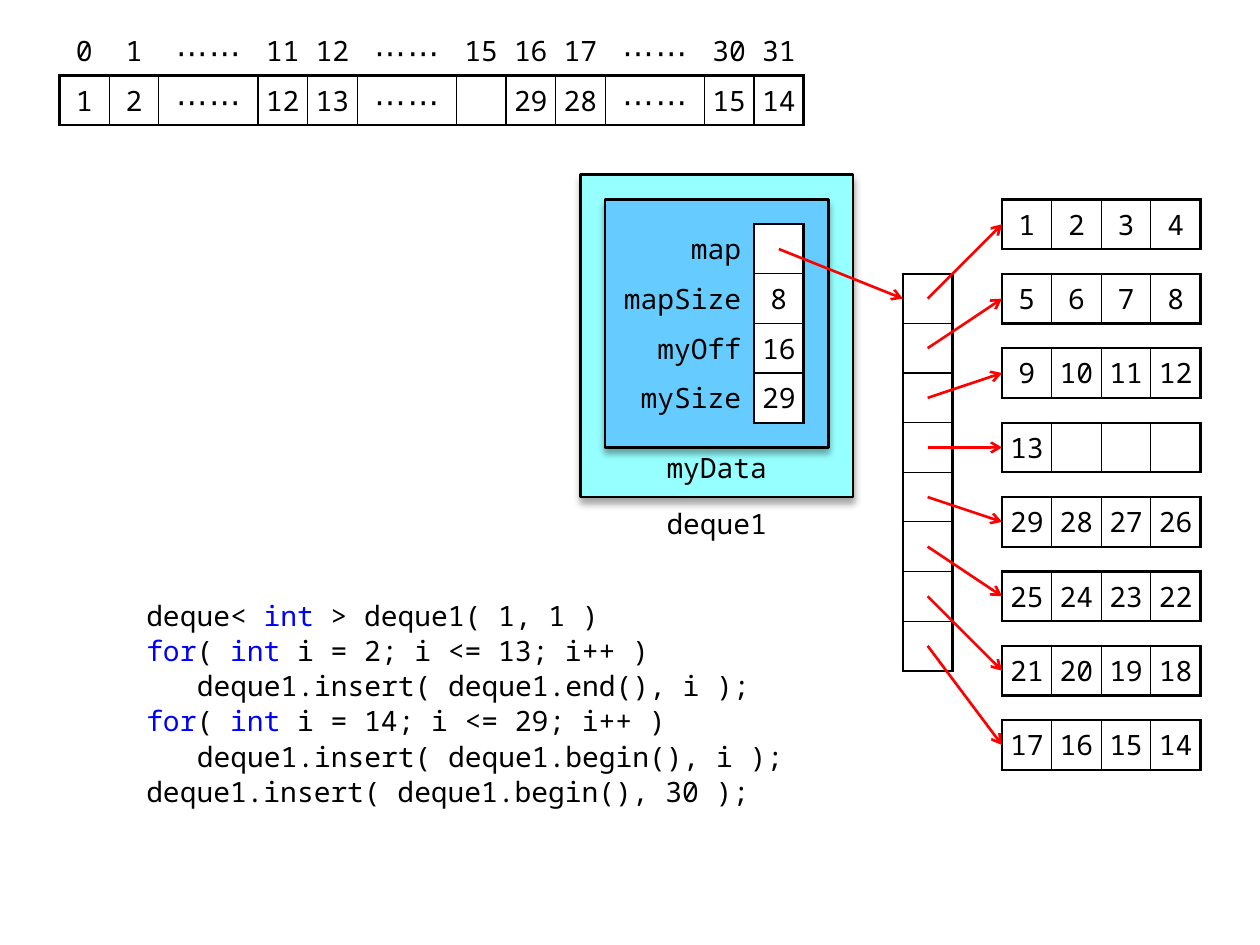
from dataclasses import dataclass

import pptx
import pptx.dml.color
import pptx.enum.shapes
import pptx.enum.text
import pptx.oxml
import pptx.oxml.ns
import pptx.util

EMU_PER_PX = 7200  # 50 px make one centimetre
CELL = 50
HALF = CELL // 2
NO_TABLE_STYLE = "{2D5ABB26-0587-4C30-8999-92F81FD0307C}"
ALIGN = pptx.enum.text.PP_ALIGN
ANCHOR = pptx.enum.text.MSO_ANCHOR
SHAPE = pptx.enum.shapes.MSO_SHAPE
ELLIPSIS = "⋯⋯"


@dataclass(frozen=True)
class Theme:
    font: str = "Noto Sans Mono"
    text_size: float = 16
    ellipsis_size: float = 18
    thick: float = 1.5
    thin: float = 0.75
    ink: str = "000000"
    keyword: str = "0000FF"
    arrow: str = "FF0000"
    cell: str = "FFFFFF"
    deque: str = "96FFFF"
    data: str = "66CCFF"


@dataclass(frozen=True)
class Grid:
    """A table whose cells from (first_row, first_column) on are framed."""
    left: int
    top: int
    widths: tuple[int, ...]
    rows: tuple[tuple[str, ...], ...]
    first_row: int = 0
    first_column: int = 0


@dataclass(frozen=True)
class Panel:
    left: int
    top: int
    width: int
    height: int
    color: str


@dataclass(frozen=True)
class Label:
    left: int
    top: int
    width: int
    text: str
    anchor: ANCHOR


@dataclass(frozen=True)
class Arrow:
    start: tuple[int, int]
    end: tuple[int, int]


@dataclass(frozen=True)
class CodeLine:
    """Source text in which every second piece is a keyword."""
    pieces: tuple[str, ...]
    indent: int = 0


THEME = Theme()
BLOCK_LEFT, BLOCK_TOP, BLOCK_PITCH = 1010, 201, 75
MAP_LEFT, MAP_TOP = 910, 276
FIELDS_LEFT, FIELDS_TOP, FIELD_NAME_WIDTH = 610, 226, 150

INDEX_ROW = ("0", "1", ELLIPSIS, "11", "12", ELLIPSIS, "15", "16", "17", ELLIPSIS, "30", "31")
VALUE_ROW = ("1", "2", ELLIPSIS, "12", "13", ELLIPSIS, "", "29", "28", ELLIPSIS, "15", "14")
BLOCKS = (
    ("1", "2", "3", "4"), ("5", "6", "7", "8"), ("9", "10", "11", "12"), ("13", "", "", ""),
    ("29", "28", "27", "26"), ("25", "24", "23", "22"), ("21", "20", "19", "18"),
    ("17", "16", "15", "14"),
)
FIELDS = (("map", ""), ("mapSize", "8"), ("myOff", "16"), ("mySize", "29"))

PANELS = (
    Panel(585, 176, 275, 325, THEME.deque),
    Panel(610, 201, 225, 250, THEME.data),
)
LABELS = (
    Label(635, 501, 175, "deque1", ANCHOR.MIDDLE),
    Label(660, 451, 125, "myData", ANCHOR.TOP),
)
GRIDS = (
    Grid(60, 26, tuple(2 * CELL if text == ELLIPSIS else CELL for text in INDEX_ROW),
         (INDEX_ROW, VALUE_ROW), first_row=1),
    Grid(MAP_LEFT, MAP_TOP, (CELL,), (("",),) * len(BLOCKS)),
    Grid(FIELDS_LEFT, FIELDS_TOP, (FIELD_NAME_WIDTH, CELL), FIELDS, first_column=1),
    *(Grid(BLOCK_LEFT, BLOCK_TOP + i * BLOCK_PITCH, (CELL,) * len(block), (block,))
      for i, block in enumerate(BLOCKS)),
)
ARROWS = (
    Arrow((FIELDS_LEFT + FIELD_NAME_WIDTH + HALF, FIELDS_TOP + HALF), (MAP_LEFT, MAP_TOP + HALF)),
    *(Arrow((MAP_LEFT + HALF, MAP_TOP + i * CELL + HALF),
            (BLOCK_LEFT, BLOCK_TOP + i * BLOCK_PITCH + HALF)) for i in range(len(BLOCKS))),
)
CODE = (
    CodeLine(("deque< ", "int", " > deque1( 1, 1 )")),
    CodeLine(("", "for", "( ", "int", " i = 2; i <= 13; i++ )")),
    CodeLine(("deque1.insert( deque1.end(), i );",), indent=51),
    CodeLine(("", "for", "( ", "int", " i = 14; i <= 29; i++ )")),
    CodeLine(("deque1.insert( deque1.begin(), i );",), indent=51),
    CodeLine(("deque1.insert( deque1.begin(), 30 );",)),
)


def px(*lengths: int) -> list[pptx.util.Emu]:
    return [pptx.util.Emu(length * EMU_PER_PX) for length in lengths]


def rgb(color: str) -> pptx.dml.color.RGBColor:
    return pptx.dml.color.RGBColor.from_string(color)


def xml(markup: str):
    """Parse an element, declaring the drawing namespace on its first tag."""
    name, rest = markup[1:].split(" ", 1)
    return pptx.oxml.parse_xml(f"<{name} {pptx.oxml.ns.nsdecls('a')} {rest}")


def style_text(paragraph, size: float = THEME.text_size) -> None:
    paragraph.font.name = THEME.font
    paragraph.font.size = pptx.util.Pt(size)
    paragraph.font.color.rgb = rgb(THEME.ink)


def draw_panel(slide, panel: Panel) -> None:
    shape = slide.shapes.add_shape(
        SHAPE.FLOWCHART_PROCESS, *px(panel.left, panel.top, panel.width, panel.height))
    shape.fill.solid()
    shape.fill.fore_color.rgb = rgb(panel.color)
    shape.line.color.rgb = rgb(THEME.ink)
    shape.line.width = pptx.util.Pt(THEME.thick)
    shape.shadow.inherit = False
    effects = shape._element.spPr.find(pptx.oxml.ns.qn("a:effectLst"))
    effects.append(xml(
        f'<a:outerShdw blurRad="{pptx.util.Pt(4)}" dist="{pptx.util.Pt(3)}" dir="5400000" '
        f'rotWithShape="0"><a:srgbClr val="{THEME.ink}"><a:alpha val="35000"/></a:srgbClr>'
        '</a:outerShdw>'))


def draw_label(slide, label: Label) -> None:
    frame = slide.shapes.add_textbox(*px(label.left, label.top, label.width, CELL)).text_frame
    frame.word_wrap = False
    frame.vertical_anchor = label.anchor
    frame.margin_left, frame.margin_right, frame.margin_top, frame.margin_bottom = px(10, 10, 3, 0)
    paragraph = frame.paragraphs[0]
    paragraph.text = label.text
    paragraph.alignment = ALIGN.CENTER
    style_text(paragraph)


def frame_cell(cell, edges: dict[str, bool]) -> None:
    """Border a white cell, thick on the sides that are outer edges."""
    properties = cell._tc.get_or_add_tcPr()
    for side, outer in edges.items():
        width = pptx.util.Pt(THEME.thick if outer else THEME.thin)
        properties.append(xml(
            f'<a:ln{side} w="{width}"><a:solidFill><a:srgbClr val="{THEME.ink}"/>'
            f'</a:solidFill></a:ln{side}>'))
    cell.fill.solid()
    cell.fill.fore_color.rgb = rgb(THEME.cell)


def fill_cell(cell, text: str, is_name: bool) -> None:
    side_margin = 13 if is_name else 5
    cell.margin_left, cell.margin_right, cell.margin_top, cell.margin_bottom = px(
        side_margin, side_margin, 5, 5)
    cell.vertical_anchor = ANCHOR.MIDDLE
    paragraph = cell.text_frame.paragraphs[0]
    paragraph.alignment = ALIGN.RIGHT if is_name else ALIGN.CENTER
    style_text(paragraph, THEME.ellipsis_size if text == ELLIPSIS else THEME.text_size)
    if text:
        run = paragraph.add_run()
        run.text = text
        if text == ELLIPSIS:
            properties = run._r.get_or_add_rPr()
            properties.set("spc", "100")
            properties.append(xml(f'<a:ea typeface="{THEME.font}"/>'))


def draw_grid(slide, grid: Grid) -> None:
    last_row, last_column = len(grid.rows) - 1, len(grid.widths) - 1
    table = slide.shapes.add_table(
        last_row + 1, last_column + 1,
        *px(grid.left, grid.top, sum(grid.widths), CELL * len(grid.rows))).table
    table.first_row = table.horz_banding = False
    table._tbl.tblPr.find(pptx.oxml.ns.qn("a:tableStyleId")).text = NO_TABLE_STYLE
    for column, width in zip(table.columns, px(*grid.widths)):
        column.width = width
    for r, texts in enumerate(grid.rows):
        for c, text in enumerate(texts):
            cell = table.cell(r, c)
            fill_cell(cell, text, is_name=c < grid.first_column)
            if r >= grid.first_row and c >= grid.first_column:
                frame_cell(cell, {"L": c == grid.first_column, "R": c == last_column,
                                  "T": r == grid.first_row, "B": r == last_row})


def draw_arrow(slide, arrow: Arrow) -> None:
    connector = slide.shapes.add_connector(
        pptx.enum.shapes.MSO_CONNECTOR.STRAIGHT, *px(*arrow.start, *arrow.end))
    connector.line.color.rgb = rgb(THEME.arrow)
    connector.line.width = pptx.util.Pt(THEME.thick)
    connector.line._get_or_add_ln().append(xml('<a:tailEnd type="arrow"/>'))
    connector._element.spPr.append(xml("<a:effectLst />"))


def draw_code(slide) -> None:
    frame = slide.shapes.add_textbox(*px(135, 601, 675, 275)).text_frame
    frame.word_wrap = True
    for i, line in enumerate(CODE):
        paragraph = frame.add_paragraph() if i else frame.paragraphs[0]
        style_text(paragraph)
        paragraph.space_before = pptx.util.Pt(3)
        paragraph.line_spacing = 0.89
        paragraph._p.get_or_add_pPr().set("marL", str(px(line.indent)[0]))
        for position, piece in enumerate(line.pieces):
            if piece:
                run = paragraph.add_run()
                run.text = piece
                run.font.color.rgb = rgb(THEME.keyword if position % 2 else THEME.ink)


def main() -> None:
    presentation = pptx.Presentation()
    presentation.slide_width = pptx.util.Inches(10)
    presentation.slide_height = pptx.util.Inches(7.5)
    slide = presentation.slides.add_slide(presentation.slide_layouts[6])
    draw_code(slide)
    for draw, items in ((draw_panel, PANELS), (draw_label, LABELS),
                        (draw_grid, GRIDS), (draw_arrow, ARROWS)):
        for item in items:
            draw(slide, item)
    presentation.save("out.pptx")


if __name__ == "__main__":
    main()
